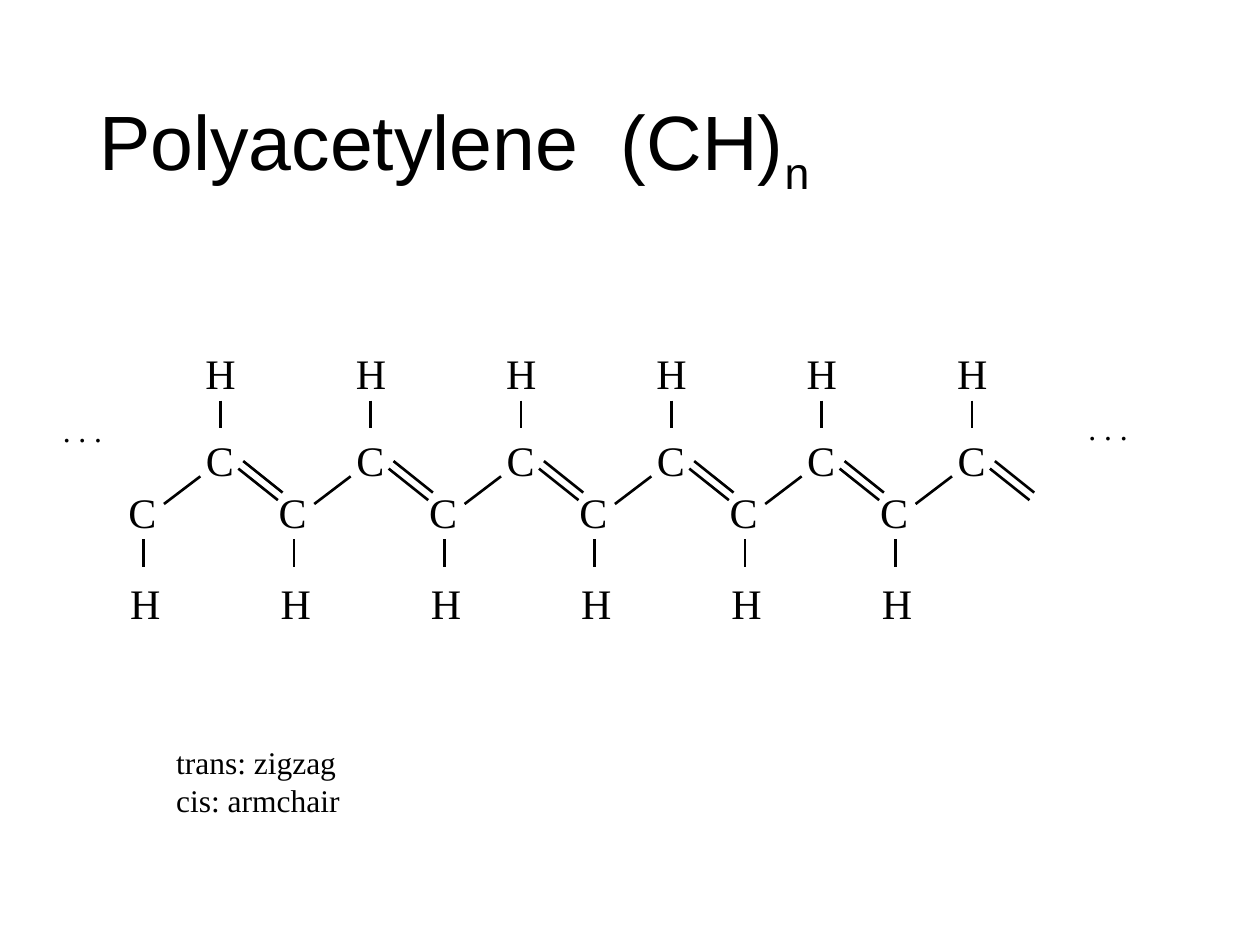
import pptx
import pptx.util
import pptx.dml.color
import pptx.enum.shapes
import pptx.enum.text
import pptx.oxml.ns
import lxml.etree

Pt = pptx.util.Pt
rgb = pptx.dml.color.RGBColor.from_string
BLACK = "000000"

prs = pptx.Presentation()
prs.slide_width, prs.slide_height = Pt(720), Pt(540)
s = prs.slides.add_slide(prs.slide_layouts[5])


def add_text(lines, x, y, w, h, size):
    sp = s.shapes.add_textbox(Pt(x), Pt(y), Pt(w), Pt(h))
    tf = sp.text_frame
    tf.word_wrap = True
    tf.auto_size = pptx.enum.text.MSO_AUTO_SIZE.SHAPE_TO_FIT_TEXT
    tf.text = "\n".join(lines)
    for p in tf.paragraphs:
        p.font.name = "Times New Roman"
        p.font.size = Pt(size)
        p.font.color.rgb = rgb(BLACK)


def add_bond(x1, y1, x2, y2):
    sp = s.shapes.add_connector(
        pptx.enum.shapes.MSO_CONNECTOR.STRAIGHT, Pt(x1), Pt(y1), Pt(x2), Pt(y2))
    sp.line.color.rgb = rgb(BLACK)
    sp.line.width = Pt(1.5)
    lxml.etree.SubElement(sp._element.spPr, pptx.oxml.ns.qn("a:effectLst"))


title = s.shapes.title
title.left, title.top, title.width, title.height = Pt(49.5), Pt(28.75), Pt(621), Pt(104.4)
tf = title.text_frame
tf.word_wrap = True
tf.auto_size = pptx.enum.text.MSO_AUTO_SIZE.NONE
tf.vertical_anchor = pptx.enum.text.MSO_ANCHOR.MIDDLE
p = tf.paragraphs[0]
p.alignment = pptx.enum.text.PP_ALIGN.LEFT
p.line_spacing = 0.9
p.font.name = "Arial"
p.font.size = Pt(44)
p.font.color.rgb = rgb(BLACK)
p.add_run().text = "Polyacetylene  (CH)"
r = p.add_run()
r.text = "n"
r.font._element.set("baseline", "-25000")

atoms = [
    ("C", 44.3, 244.8),
    ("C", 0, 274.3),
    ("H", 44, 195.1),
    ("H", 1, 326.2),
]
bonds = [
    (59.6, 229, 59.6, 244.8),
    (48.2, 272.2, 27.4, 288),
    (72.7, 263.5, 95.2, 281.5),
    (69.9, 267.8, 92.5, 285.8),
    (15.9, 308.2, 15.9, 324),
]
for i in range(6):
    x = 66.3 + 85.9 * i
    for symbol, dx, y in atoms:
        add_text([symbol], x + dx, y, 30.2, 36, 24)
    for x1, y1, x2, y2 in bonds:
        add_bond(x + x1, y1, x + x2, y2)

for x, y in [(28.8, 231.1), (614.9, 230.4)]:
    add_text([". . ."], x, y, 67.7, 28.8, 18)
add_text(["trans: zigzag", "cis: armchair"], 93.6, 421.2, 192.2, 51.1, 18)

prs.save("out.pptx")
